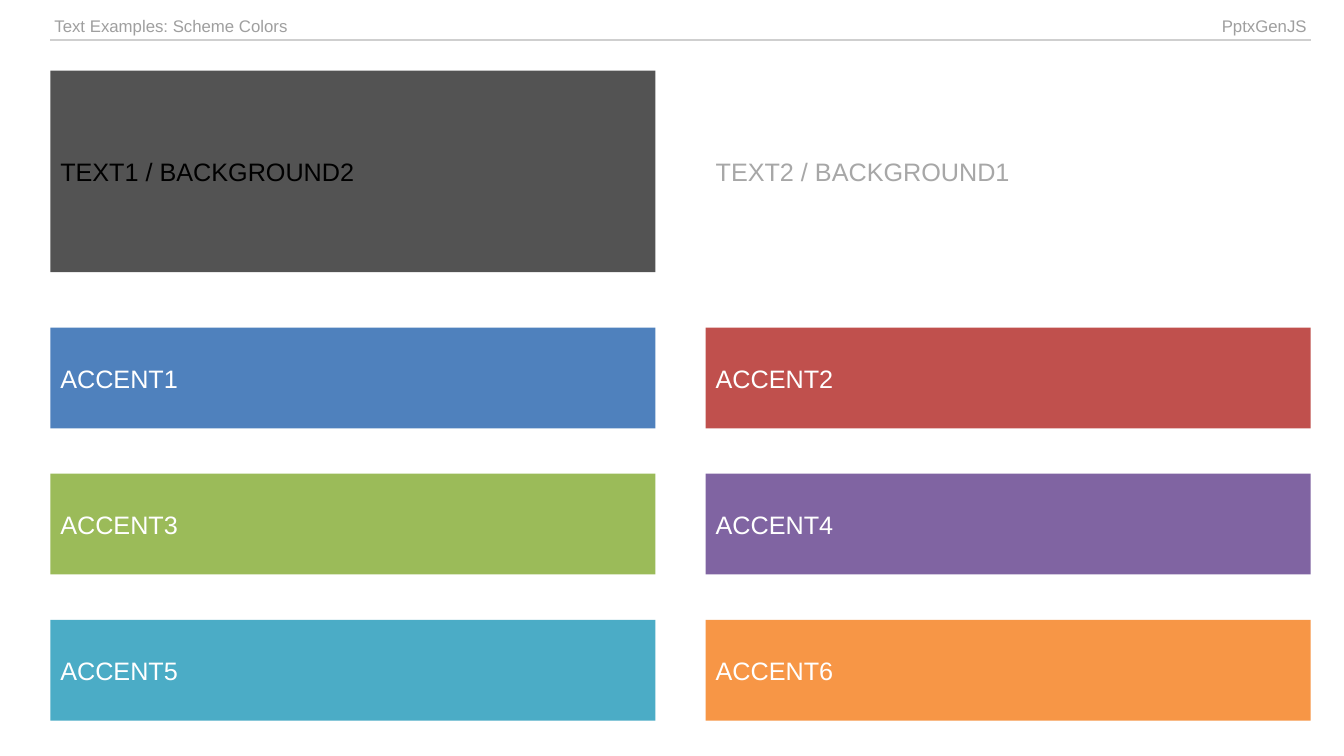
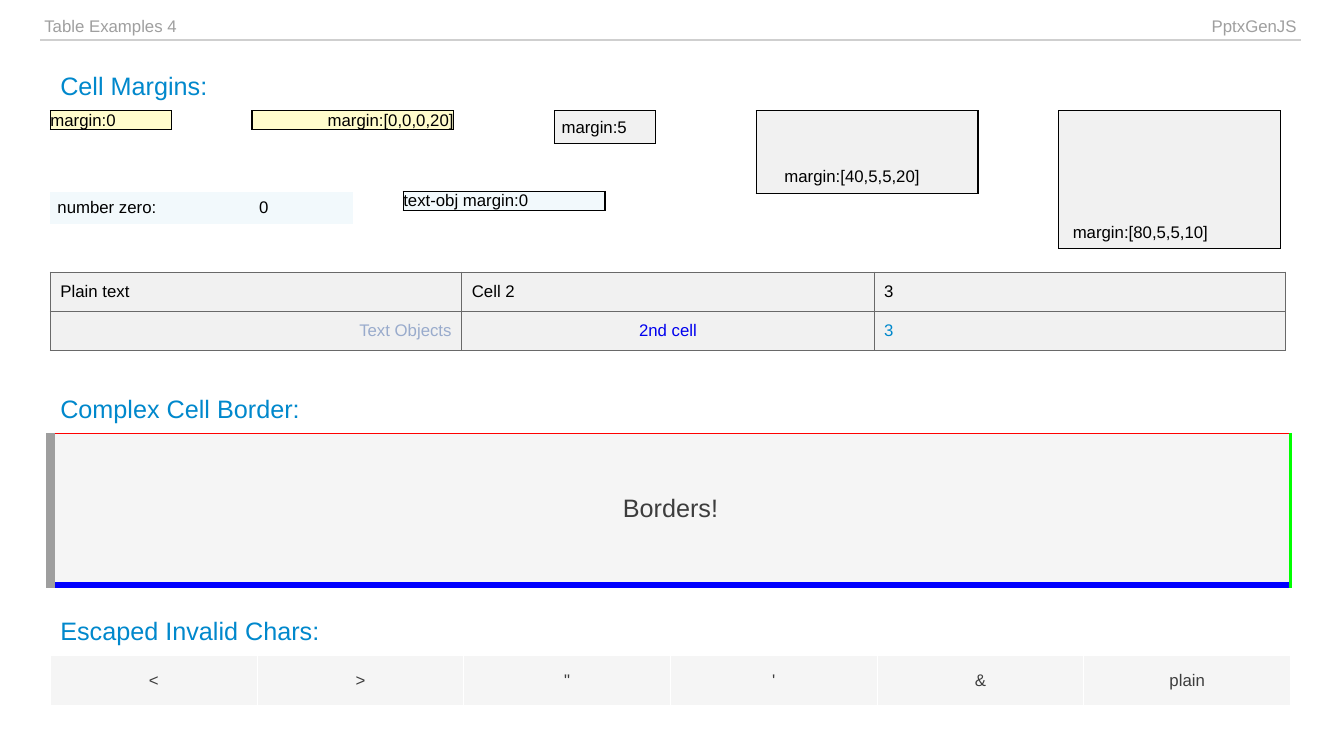
from dataclasses import dataclass, field
from lxml.etree import SubElement
from pptx import Presentation
from pptx.dml.color import RGBColor
from pptx.enum.shapes import MSO_SHAPE
from pptx.enum.text import MSO_ANCHOR, PP_ALIGN
from pptx.oxml.ns import qn
from pptx.slide import Slide
from pptx.text.text import TextFrame
from pptx.util import Emu, Pt

PX = 9144  # 100 px to the inch
FONT = "Arial"
GRAY, RULE, BLUE, INK = "9F9F9F", "CFCFCF", "0088CC", "3D3D3D"
BLACK, WHITE = "000000", "FFFFFF"
PALE, LIGHT, CREAM, ICE = "F1F1F1", "F5F5F5", "FFFCCC", "F2F9FC"
LEFT, MID, RIGHT = PP_ALIGN.LEFT, PP_ALIGN.CENTER, PP_ALIGN.RIGHT

Edges = dict[str, tuple[str, int]]
Pad = tuple[int, int, int, int]


def px(num: int) -> Emu:
    return Emu(num * PX)


def rgb(code: str) -> RGBColor:
    return RGBColor.from_string(code)


def frame(color: str, width: int = 1) -> Edges:
    """The same border on all four sides."""
    return {side: (color, width) for side in "LRTB"}


@dataclass
class Cell:
    text: str
    color: str = BLACK
    align: PP_ALIGN = LEFT


@dataclass
class Grid:
    """A table; rows of height 0 grow to fit their text."""
    x: int
    y: int
    cols: list[int]
    rows: list[list[Cell]]
    fill: str = ""
    pad: Pad = (4, 4, 4, 4)
    edges: Edges = field(default_factory=lambda: frame(BLACK))
    high: int = 0
    size: int = 12
    anchor: MSO_ANCHOR = MSO_ANCHOR.TOP


@dataclass
class Box:
    text: str
    x: int
    y: int
    w: int
    h: int
    fill: str
    color: str


def write(body: TextFrame, cell: Cell, size: int) -> None:
    body.text = cell.text
    para = body.paragraphs[0]
    para.alignment = cell.align
    font = para.font
    font.name, font.size = FONT, Pt(size)
    font.color.rgb = rgb(cell.color)


def add_box(slide: Slide, box: Box) -> None:
    shape = slide.shapes.add_shape(
        MSO_SHAPE.RECTANGLE, *map(px, (box.x, box.y, box.w, box.h)))
    shape.shadow.inherit = False
    shape.fill.solid()
    shape.fill.fore_color.rgb = rgb(box.fill)
    shape.line.fill.background()
    shape.text_frame.vertical_anchor = MSO_ANCHOR.MIDDLE
    write(shape.text_frame, Cell(box.text, box.color), 18)


def add_edges(cell, edges: Edges) -> None:
    props = cell._tc.get_or_add_tcPr()
    for side in "LRTB":
        color, width = edges.get(side, ("", 0))
        line = SubElement(props, qn(f"a:ln{side}"), w=str(Pt(width)))
        if color:
            fill = SubElement(line, qn("a:solidFill"))
            SubElement(fill, qn("a:srgbClr"), val=color)
        else:
            SubElement(line, qn("a:noFill"))


def add_grid(slide: Slide, grid: Grid) -> None:
    count = len(grid.rows)
    table = slide.shapes.add_table(
        count, len(grid.cols), px(grid.x), px(grid.y),
        px(sum(grid.cols)), px(grid.high * count)).table
    table.first_row = table.horz_banding = False
    for col, wide in zip(table.columns, grid.cols):
        col.width = px(wide)
    for row, data in zip(table.rows, grid.rows):
        for cell, item in zip(row.cells, data):
            add_edges(cell, grid.edges)
            if grid.fill:
                cell.fill.solid()
                cell.fill.fore_color.rgb = rgb(grid.fill)
            else:
                cell.fill.background()
            cell.vertical_anchor = grid.anchor
            (cell.margin_left, cell.margin_top,
             cell.margin_right, cell.margin_bottom) = map(px, grid.pad)
            write(cell.text_frame, item, grid.size)


def add_head(deck: Presentation, title: str, x: int, cols: list[int]) -> Slide:
    """Add a slide with its heading table, ruled below."""
    slide = deck.slides.add_slide(deck.slide_layouts[6])
    cells = [Cell(title, GRAY), Cell("PptxGenJS", GRAY, RIGHT)]
    add_grid(slide, Grid(x, 13, cols, [cells], edges={"B": (RULE, 1)}))
    return slide


def add_colors(deck: Presentation) -> None:
    slide = add_head(deck, "Text Examples: Scheme Colors", 50, [625, 625])
    left, wide, step = 50, 600, 650
    pairs = (("TEXT1 / BACKGROUND2", "535353", BLACK),
             ("TEXT2 / BACKGROUND1", WHITE, "A7A7A7"))
    for col, (text, fill, color) in enumerate(pairs):
        add_box(slide, Box(text, left + col * step, 70, wide, 200, fill, color))
    accents = ("4F81BD", "C0504D", "9BBB59", "8064A2", "4BACC6", "F79646")
    for num, fill in enumerate(accents):
        row, col = divmod(num, 2)
        add_box(slide, Box(f"ACCENT{num + 1}", left + col * step,
                           325 + row * 145, wide, 100, fill, WHITE))


def add_tables(deck: Presentation) -> None:
    slide = add_head(deck, "Table Examples 4", 40, [900, 350])
    for text, y in (("Cell Margins:", 70), ("Complex Cell Border:", 390),
                    ("Escaped Invalid Chars:", 610)):
        add_box(slide, Box(text, 50, y, 400, 30, WHITE, BLUE))

    none, even = (0, 0, 0, 0), (7, 7, 7, 7)
    plain = [[Cell("Plain text"), Cell("Cell 2"), Cell("3")],
             [Cell("Text Objects", "99ABCC", RIGHT),
              Cell("2nd cell", "0000EE", MID), Cell("3", BLUE)]]
    thick = {"L": ("9E9E9E", 7), "T": ("FF0000", 1),
             "R": ("00FF00", 3), "B": ("0000FF", 5)}
    chars = [Cell(char, INK, MID) for char in ("<", ">", '"', "'", "&", "plain")]
    grids = (
        Grid(50, 110, [120], [[Cell("margin:0")]], CREAM, none),
        Grid(250, 110, [200], [[Cell("margin:[0,0,0,20]", align=RIGHT)]],
             CREAM, (28, 0, 0, 0)),
        Grid(550, 110, [100], [[Cell("margin:5")]], PALE, even),
        Grid(750, 110, [220], [[Cell("margin:[40,5,5,20]")]],
             PALE, (28, 56, 7, 7)),
        Grid(1050, 110, [220], [[Cell("margin:[80,5,5,10]")]],
             PALE, (14, 111, 7, 7)),
        Grid(50, 190, [200, 100], [[Cell("number zero:"), Cell("0")]],
             ICE, even, {}),
        Grid(400, 190, [200], [[Cell("text-obj margin:0")]], ICE, none),
        Grid(50, 270, [408, 409, 408], plain, PALE, (10, 10, 10, 10),
             frame("696969")),
        Grid(50, 430, [1230], [[Cell("Borders!", INK, MID)]], LIGHT,
             edges=thick, high=150, size=18, anchor=MSO_ANCHOR.MIDDLE),
        Grid(50, 650, [205] * 6, [chars], LIGHT,
             edges=frame(WHITE), high=50, anchor=MSO_ANCHOR.MIDDLE),
    )
    for grid in grids:
        add_grid(slide, grid)


def main() -> None:
    deck = Presentation()
    deck.slide_width, deck.slide_height = px(1333), px(750)
    add_colors(deck)
    add_tables(deck)
    deck.save("out.pptx")


if __name__ == "__main__":
    main()
